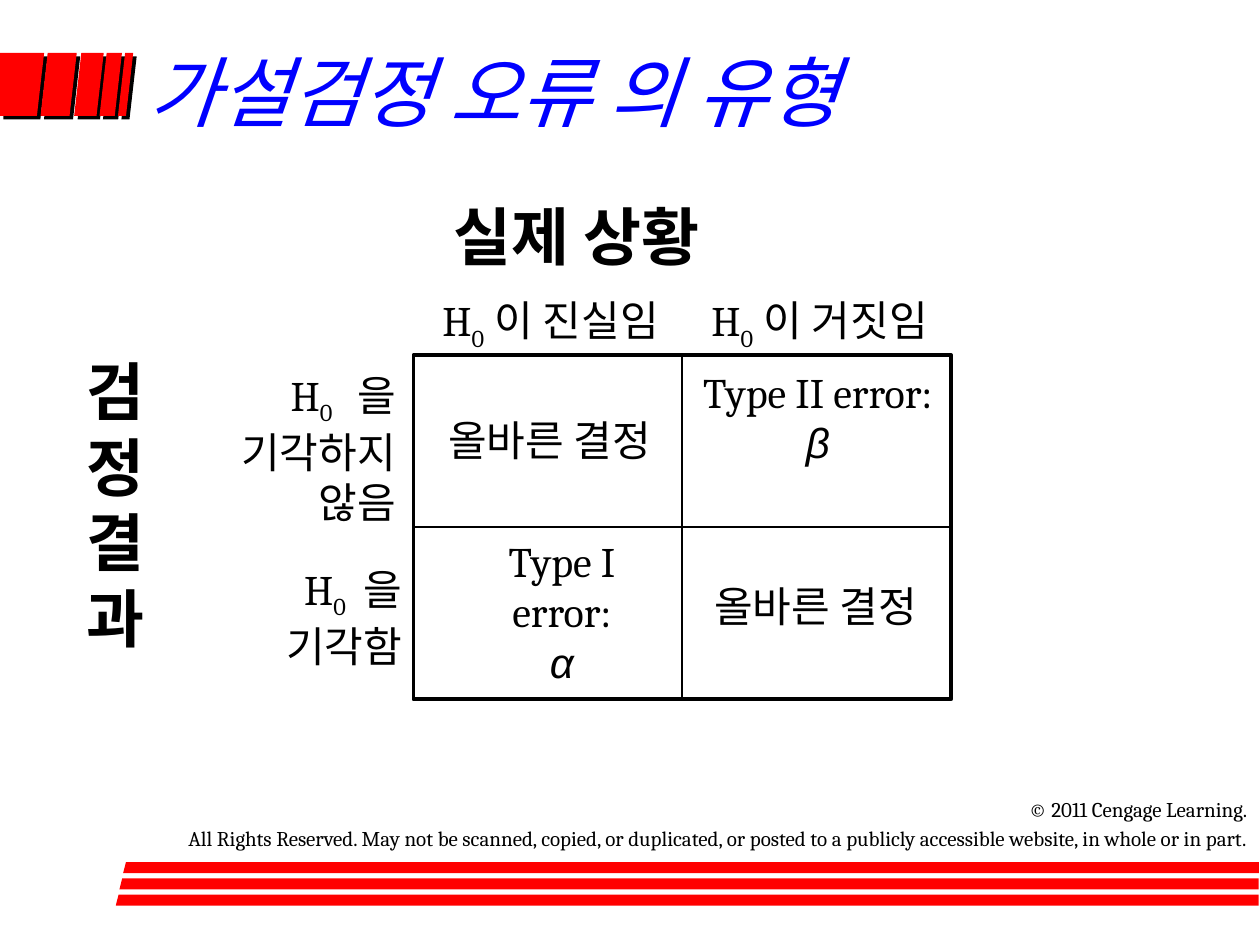
from dataclasses import dataclass

from lxml import etree
from pptx import Presentation
from pptx.dml.color import RGBColor
from pptx.enum.shapes import MSO_CONNECTOR, MSO_SHAPE
from pptx.enum.text import MSO_ANCHOR, MSO_AUTO_SIZE, PP_ALIGN
from pptx.oxml import parse_xml
from pptx.oxml.ns import nsdecls, qn
from pptx.util import Pt

LEFT, CENTER, RIGHT = PP_ALIGN.LEFT, PP_ALIGN.CENTER, PP_ALIGN.RIGHT
TOP_SIDE, LEFT_SIDE, BOTTOM_SIDE, RIGHT_SIDE = range(4)
NO_FIT, GROW = MSO_AUTO_SIZE.NONE, MSO_AUTO_SIZE.SHAPE_TO_FIT_TEXT
ANCHOR_TOP = MSO_ANCHOR.TOP
RECTANGLE, STRAIGHT = MSO_SHAPE.RECTANGLE, MSO_CONNECTOR.STRAIGHT
TITLE_ONLY = 5


@dataclass(frozen=True)
class Theme:
    red: RGBColor = RGBColor(255, 0, 0)
    blue: RGBColor = RGBColor(0, 0, 255)
    black: RGBColor = RGBColor(0, 0, 0)
    white: RGBColor = RGBColor(255, 255, 255)
    font: str = "Cambria"
    symbol_font: str = "Arial"
    title: int = 44
    heading: int = 36
    body: int = 24
    small: int = 12


class SlideBuilder:
    def __init__(self, slide, theme):
        self.s = slide
        self.theme = theme

    def add_runs(self, p, runs, **base):
        """Add (text, format) runs; a newline in the text is a line break."""
        for text, extra in runs:
            fmt = {"name": self.theme.font, "size": self.theme.body,
                   "color": self.theme.black, **base, **extra}
            color, size = fmt.pop("color"), fmt.pop("size")
            attrs = fmt.pop("attrs", {})
            for i, line in enumerate(text.split("\n")):
                if i:
                    p.add_line_break()
                if not line:
                    continue
                r = p.add_run()
                r.text = line
                r.font.size = Pt(size)
                r.font.color.rgb = color
                for name, value in fmt.items():
                    setattr(r.font, name, value)
                for name, value in attrs.items():
                    r.font._element.set(name, value)

    def title(self, text, x, y, w, h):
        sp = self.s.shapes.title
        for name, value in dict(left=x, top=y, width=w, height=h).items():
            setattr(sp, name, Pt(value))
        tf = sp.text_frame
        tf.auto_size = NO_FIT
        tf.vertical_anchor = ANCHOR_TOP
        p = tf.paragraphs[0]
        p.alignment = LEFT
        self.add_runs(p, [(text, {})], size=self.theme.title,
                      color=self.theme.blue, italic=True)

    def text(self, paragraphs, x, y, w, h, align=CENTER, wrap=True, gap=0, **fmt):
        sp = self.s.shapes.add_textbox(Pt(x), Pt(y), Pt(w), Pt(h))
        tf = sp.text_frame
        tf.word_wrap = wrap
        tf.auto_size = GROW
        for i, runs in enumerate(paragraphs):
            p = tf.add_paragraph() if i else tf.paragraphs[0]
            p.alignment = align
            if i:
                p.space_before = Pt(gap)
            self.add_runs(p, runs, **fmt)

    def polygon(self, points, shadow=False):
        pts = [(Pt(x), Pt(y)) for x, y in points]
        builder = self.s.shapes.build_freeform(*pts[0], scale=1.0)
        builder.add_line_segments(pts[1:], close=True)
        sp = builder.convert_to_shape()
        sp.shadow.inherit = False
        sp.fill.solid()
        sp.fill.fore_color.rgb = self.theme.red
        sp.line.fill.background()
        if shadow:
            effects = sp._element.spPr.find(qn("a:effectLst"))
            effects.append(parse_xml(
                f'<a:outerShdw {nsdecls("a")} dist="{Pt(2.8)}" dir="2700000">'
                f'<a:srgbClr val="{self.theme.black}"/></a:outerShdw>'))

    def frame(self, x, y, w, h):
        sp = self.s.shapes.add_shape(RECTANGLE, Pt(x), Pt(y), Pt(w), Pt(h))
        sp.shadow.inherit = False
        sp.fill.solid()
        sp.fill.fore_color.rgb = self.theme.white
        sp.line.color.rgb = self.theme.black
        sp.line.width = Pt(2)
        return sp

    def divider(self, sp, start, end):
        line = self.s.shapes.add_connector(STRAIGHT, 0, 0, 0, 0)
        line.begin_connect(sp, start)
        line.end_connect(sp, end)
        line.line.color.rgb = self.theme.black
        line.line.width = Pt(1)
        etree.SubElement(line._element.spPr, qn("a:effectLst"))


def hypothesis(text, spacing):
    """H with a subscript zero, a gap of the given spacing, then the text."""
    sub = {"baseline": "-25000"}
    return [[("H", {}), ("0", {"attrs": sub}),
             (" ", {"attrs": {**sub, "spc": str(spacing)}}), (text, {})]]


def main():
    theme = Theme()
    prs = Presentation()
    prs.slide_width, prs.slide_height = Pt(720), Pt(540)
    b = SlideBuilder(prs.slides.add_slide(prs.slide_layouts[TITLE_ONLY]), theme)

    # Slanted blocks beside the title, given by the ends of their top edges
    top, bottom, slant = 30.3, 66.2, 4.1
    b.polygon([(0, top), (25.2, top), (25.2 - slant, bottom), (0, bottom)], shadow=True)
    for x1, x2 in [(27.3, 43.9), (46.5, 59.3), (61, 69.7), (71.5, 76.1)]:
        b.polygon([(x1, top), (x2, top), (x2 - slant, bottom), (x1 - slant, bottom)],
                  shadow=True)

    # Three footer stripes, each starting a little further left
    for i in range(3):
        x, y, h = 72 - 2.1 * i, 492.6 + 9.3 * i, 6.3
        b.polygon([(x - 1.6, y + h), (719.3, y + h), (719.3, y), (x, y)])

    b.title("가설검정 오류 의 유형", 77.8, 21.6, 612, 92.9)

    # Two-by-two decision grid
    grid = b.frame(236.2, 203, 307.4, 196.6)
    b.divider(grid, TOP_SIDE, BOTTOM_SIDE)
    b.divider(grid, LEFT_SIDE, RIGHT_SIDE)

    # Outcomes in the grid cells
    symbol = {"name": theme.symbol_font, "italic": True}
    correct = [("올바른 결정", {})]
    cells = [
        (correct, 239, 233.3, 36.7),
        ([("Type II error:\n", {}), ("β", symbol)], 392.4, 205.9, 94.3),
        ([("Type I\nerror:\n", {}), ("α", symbol)], 246.2, 302.4, 94.3),
        (correct, 391, 328.3, 36.7),
    ]
    for runs, x, y, h in cells:
        b.text([runs], x, y, 149.8, h)

    # Column and row labels
    b.text(hypothesis("이 진실임", 300), 226.8, 164.9, 175.7, 36.7)
    b.text(hypothesis("이 거짓임", 300), 393.1, 164.9, 150.5, 36.7)
    b.text(hypothesis("을 기각하지 않음", 1100), 109.4, 207.4, 123.8, 94.3, align=RIGHT)
    b.text(hypothesis("을 기각함", 700), 114.5, 318.2, 122.4, 65.5, align=RIGHT)

    # Axis headings; the narrow one stacks its letters by wrapping
    heading = {"align": LEFT, "size": theme.heading, "bold": True}
    b.text([[("실제 상황", {})]], 252, 109.4, 166.3, 51.1, wrap=False, **heading)
    b.text([[("검정결과", {})]], 42.5, 198, 69.1, 182.2, **heading)

    # Copyright lines
    b.text([[("© 2011 Cengage Learning.", {})],
            [("All Rights Reserved. May not be scanned, copied, or duplicated, or posted "
              "to a publicly accessible website, in whole or in part.", {})]],
           0, 451.5, 720, 41, align=RIGHT, gap=2.4, size=theme.small)

    prs.save("out.pptx")


if __name__ == "__main__":
    main()
